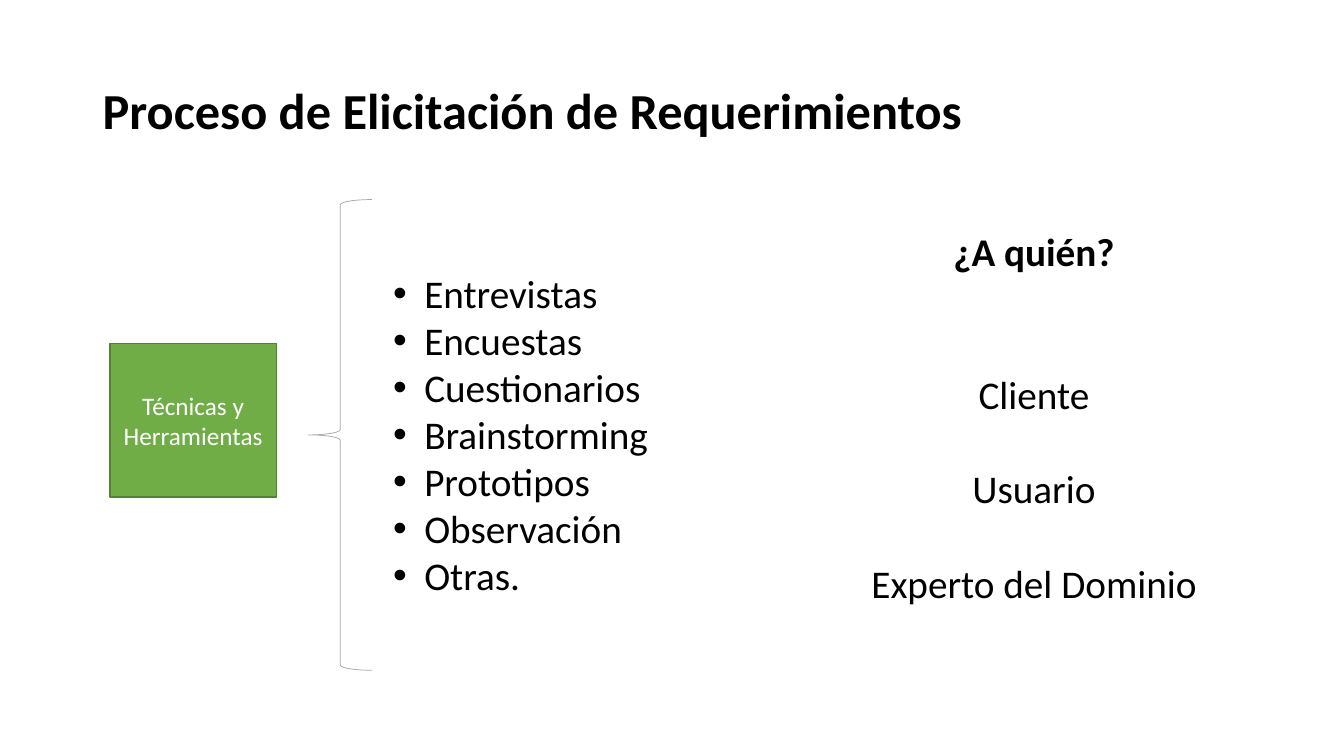
from lxml.etree import SubElement
from pptx import Presentation
from pptx.dml.color import RGBColor
from pptx.enum.shapes import MSO_SHAPE as Shape
from pptx.enum.text import MSO_ANCHOR as Anchor, PP_ALIGN as Align
from pptx.oxml.ns import qn
from pptx.util import Inches, Pt

TITLE = "Proceso de Elicitación de Requerimientos"
TOPIC = "Técnicas y Herramientas"
TECHNIQUES = ["Entrevistas", "Encuestas", "Cuestionarios", "Brainstorming",
              "Prototipos", "Observación", "Otras."]
QUESTION = "¿A quién?"
# Each person with the number of empty lines above
PEOPLE = [("Cliente", 2), ("Usuario", 1), ("Experto del Dominio", 1)]

BLACK = RGBColor(0x00, 0x00, 0x00)
WHITE = RGBColor(0xFF, 0xFF, 0xFF)
GREEN = RGBColor(0x70, 0xAD, 0x47)
DARK_GREEN = RGBColor(0x53, 0x80, 0x35)
GRAY = RGBColor(0xA5, 0xA5, 0xA5)

FONT = "Calibri"
BODY_SIZE = 28
LINE_HEIGHT = 34
BULLET_INDENT = Inches(0.31)

# left, top, width, height in inches
TITLE_BOX = (0.92, 0.4, 11.5, 1.45)
TOPIC_BOX = (1.09, 3.41, 1.65, 1.52)
BRACE_BOX = (3.06, 1.98, 0.63, 4.67)
TECHNIQUES_BOX = (3.8, 2.62, 3.43, 3.4)
PEOPLE_BOX = (8.08, 2.21, 4.35, 3.87)


def add_text_box(slide, box, anchor=Anchor.TOP):
    frame = slide.shapes.add_textbox(*map(Inches, box)).text_frame
    frame.word_wrap = True
    frame.vertical_anchor = anchor
    return frame


def add_outlined_shape(slide, kind, box, line_color, line_width):
    shape = slide.shapes.add_shape(kind, *map(Inches, box))
    shape.shadow.inherit = False
    shape.line.color.rgb = line_color
    shape.line.width = Pt(line_width)
    return shape


def write(paragraph, text, size=BODY_SIZE, color=BLACK, bold=False, align=Align.LEFT):
    paragraph.text = text
    paragraph.alignment = align
    font = paragraph.font
    font.name, font.size, font.bold = FONT, Pt(size), bold
    font.color.rgb = color


def add_bullet(paragraph):
    properties = paragraph._p.get_or_add_pPr()
    properties.set("marL", str(BULLET_INDENT))
    properties.set("indent", str(-BULLET_INDENT))
    SubElement(properties, qn("a:buFont"), typeface="Arial")
    SubElement(properties, qn("a:buChar"), char="•")


def main():
    presentation = Presentation()
    presentation.slide_width = Inches(13.33)
    presentation.slide_height = Inches(7.5)
    slide = presentation.slides.add_slide(presentation.slide_layouts[6])

    title = add_text_box(slide, TITLE_BOX, Anchor.MIDDLE).paragraphs[0]
    title.line_spacing = 0.9
    write(title, TITLE, size=36, bold=True)

    topic = add_outlined_shape(slide, Shape.RECTANGLE, TOPIC_BOX, DARK_GREEN, 1)
    topic.fill.solid()
    topic.fill.fore_color.rgb = GREEN
    topic.text_frame.word_wrap = True
    topic.text_frame.vertical_anchor = Anchor.MIDDLE
    write(topic.text_frame.paragraphs[0], TOPIC, size=18, color=WHITE, align=Align.CENTER)

    techniques = add_text_box(slide, TECHNIQUES_BOX)
    for index, technique in enumerate(TECHNIQUES):
        paragraph = techniques.add_paragraph() if index else techniques.paragraphs[0]
        add_bullet(paragraph)
        write(paragraph, technique)

    brace = add_outlined_shape(slide, Shape.LEFT_BRACE, BRACE_BOX, GRAY, 0.5)
    brace.fill.background()

    people = add_text_box(slide, PEOPLE_BOX)
    write(people.paragraphs[0], QUESTION, bold=True, align=Align.CENTER)
    for person, empty_lines in PEOPLE:
        paragraph = people.add_paragraph()
        paragraph.space_before = Pt(empty_lines * LINE_HEIGHT)
        write(paragraph, person, align=Align.CENTER)

    presentation.save("out.pptx")


if __name__ == "__main__":
    main()
